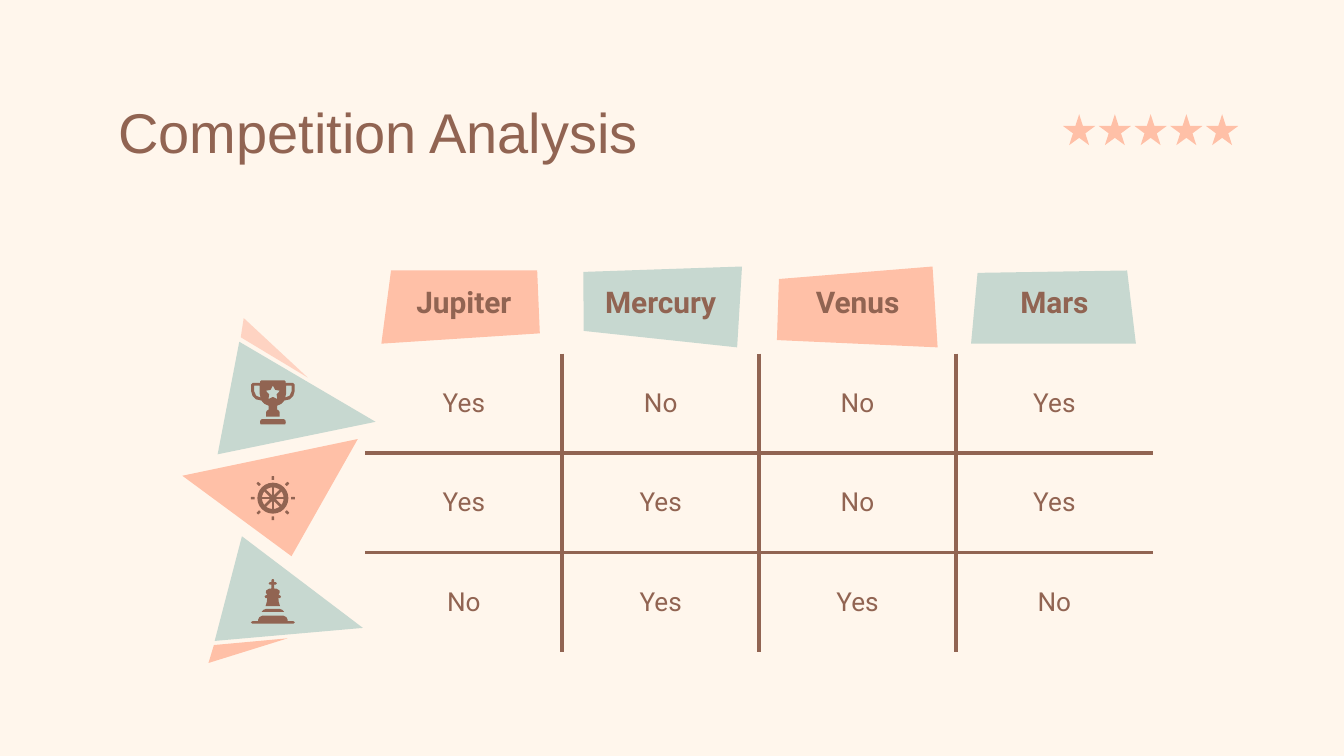
from math import cos, pi, sin

from lxml.etree import SubElement
from pptx import Presentation
from pptx.dml.color import RGBColor
from pptx.enum.shapes import MSO_CONNECTOR, MSO_SHAPE
from pptx.enum.text import MSO_ANCHOR, PP_ALIGN
from pptx.oxml.ns import qn
from pptx.util import Pt

CREAM, BROWN, PEACH, PALE_PEACH, SAGE = "FFF6EC", "916452", "FFC0A7", "FED3C2", "C7D8D0"
PLAIN_TABLE_STYLE = "{2D5ABB26-0587-4C30-8999-92F81FD0307C}"
ICON_CENTER = 146.2

ROWS = [
    ["Jupiter", "Mercury", "Venus", "Mars"],
    ["Yes", "No", "No", "Yes"],
    ["Yes", "Yes", "No", "Yes"],
    ["No", "Yes", "Yes", "No"],
]
TRIANGLES = [
    (SAGE, [(116.6, 243.4), (128.2, 183.1), (201.2, 226)]),
    (PALE_PEACH, [(129, 180.7), (130.6, 170.4), (164.9, 202.3)]),
    (PEACH, [(97.7, 254.9), (191.7, 235.2), (156.2, 298)]),
    (SAGE, [(129.6, 287.3), (115, 343.4), (194.4, 336.4)]),
    (PEACH, [(114.6, 345.6), (111.7, 355.2), (154.1, 342)]),
]
BANNERS = [
    (PEACH, [(209.5, 144.9), (204.3, 184.1), (289.2, 178.6), (287.8, 144.9)]),
    (SAGE, [(312.5, 145.7), (312.7, 177.3), (394.9, 186.1), (397.5, 142.8)]),
    (PEACH, [(417.3, 149.5), (416.2, 182.2), (502.3, 186.1), (499.6, 142.8)]),
    (SAGE, [(523.7, 146.2), (520.2, 184.1), (608.5, 184.1), (603.8, 144.9)]),
]

# Right halves of the symmetric icon outlines: offset from the icon center, y
CUP = [(6.3, 203.8), (6.9, 204.5), (6.9, 205.2), (10.8, 205.2), (11.7, 206),
       (11.7, 209.5), (10.9, 212.2), (9, 214), (6.2, 214.6), (4.5, 216.4),
       (2.2, 217.4), (2.2, 219.4), (3.4, 220.2), (3.6, 221), (3.6, 223.2)]
CUP_HANDLE = [(7.1, 206.6), (10.1, 206.6), (10.1, 209.5), (9, 212), (6.6, 213), (7.1, 211)]
CUP_BASE = [(5.8, 224.5), (6.7, 225.2), (6.9, 226.3), (6.6, 227.4)]
KING_BODY = [(0.4, 310.3), (0.7, 311), (0.7, 311.9), (1.6, 311.9), (2.2, 312.6),
             (1.6, 313.3), (0.7, 313.3), (0.7, 315.3), (2, 315.4), (3.6, 316.4),
             (3.7, 317.6), (3, 318.7), (3.9, 319), (4.4, 319.7), (3.9, 320.4),
             (3, 320.4), (3.2, 322.5), (3.9, 324.7)]
KING_BAND = [(3.6, 326.2), (5, 326.7), (6, 327.8)]
KING_BASE = [(5.6, 329.8), (7.2, 330.6), (7.9, 332), (7.9, 332.8), (11, 332.8),
             (11.8, 333.4), (11, 334.1)]


def color(value):
    return RGBColor.from_string(value)


def paint(shape, fill):
    shape.shadow.inherit = False
    shape.fill.solid()
    shape.fill.fore_color.rgb = color(fill)
    shape.line.fill.background()


def add_outline(shapes, fill, *contours):
    """Filled polygon; contours after the first cut holes."""
    builder = None
    for contour in contours:
        start, *rest = [(Pt(x), Pt(y)) for x, y in contour]
        if builder is None:
            builder = shapes.build_freeform(*start)
        else:
            builder.move_to(*start)
        builder.add_line_segments(rest, close=True)
    paint(builder.convert_to_shape(), fill)


def add_preset(shapes, preset, left, top, width, height, fill):
    shape = shapes.add_shape(preset, Pt(left), Pt(top), Pt(width), Pt(height))
    paint(shape, fill)
    return shape


def add_line(shapes, start, end, width):
    line = shapes.add_connector(MSO_CONNECTOR.STRAIGHT, *[Pt(v) for v in (*start, *end)])
    line.line.color.rgb = color(BROWN)
    line.line.width = Pt(width)
    SubElement(line._element.spPr, qn("a:effectLst"))


def polar(center, radius, angle):
    return center[0] + radius * cos(angle), center[1] + radius * sin(angle)


def place(half, side=1):
    return [(ICON_CENTER + side * x, y) for x, y in half]


def mirrored(half):
    return place(half) + place(half, -1)[::-1]


def add_rating(slide):
    stars = slide.shapes.add_group_shape().shapes
    for index in range(5):
        add_preset(stars, MSO_SHAPE.STAR_5_POINT, 569.5 + 19.15 * index, 61.2, 17.3, 16.6, PEACH)


def add_title(slide, text):
    title = slide.shapes.title
    title.left, title.top, title.width, title.height = Pt(56.2), Pt(42.5), Pt(607.7), Pt(45.4)
    frame = title.text_frame
    frame.text = text
    frame.vertical_anchor = MSO_ANCHOR.TOP
    frame.margin_top = Pt(10)
    paragraph = frame.paragraphs[0]
    paragraph.alignment = PP_ALIGN.LEFT
    format_font(paragraph.font, "Arial", 30)


def format_font(font, name, size, bold=False):
    font.name, font.size, font.bold = name, Pt(size), bold
    font.color.rgb = color(BROWN)


def add_borders(cell, sides):
    for side in sides:
        border = SubElement(cell._tc.get_or_add_tcPr(), qn(f"a:ln{side}"), w=str(Pt(2.25)))
        fill = SubElement(border, qn("a:solidFill"))
        SubElement(fill, qn("a:srgbClr"), val=BROWN)


def add_comparison(slide):
    last = len(ROWS) - 1
    frame = slide.shapes.add_table(4, 4, Pt(195.8), Pt(136.1), Pt(421.8), Pt(213.2))
    table = frame.table
    table.first_row = table.horz_banding = False
    table._tbl.tblPr.find(qn("a:tableStyleId")).text = PLAIN_TABLE_STYLE
    for column in table.columns:
        column.width = Pt(105.45)
    for row_index, values in enumerate(ROWS):
        table.rows[row_index].height = Pt(53.3)
        for column_index, value in enumerate(values):
            cell = table.cell(row_index, column_index)
            # Inner grid lines only, below the heading row
            if row_index:
                rules = [("L", column_index > 0), ("R", column_index < last),
                         ("T", row_index > 1), ("B", row_index < last)]
                add_borders(cell, [side for side, shown in rules if shown])
            cell.fill.background()
            cell.text = value
            cell.vertical_anchor = MSO_ANCHOR.MIDDLE
            cell.margin_left = cell.margin_right = Pt(7.2)
            cell.margin_top = cell.margin_bottom = Pt(7.2)
            paragraph = cell.text_frame.paragraphs[0]
            paragraph.alignment = PP_ALIGN.CENTER
            heading = row_index == 0
            format_font(paragraph.runs[0].font, "Roboto", 16 if heading else 14, heading)


def add_trophy(slide):
    shapes = slide.shapes.add_group_shape().shapes
    star = [polar((ICON_CENTER, 210.6), 2.1 if i % 2 else 4, i * pi / 5 - pi / 2)
            for i in range(10)]
    add_outline(shapes, BROWN, mirrored(CUP), place(CUP_HANDLE), place(CUP_HANDLE, -1), star)
    add_outline(shapes, BROWN, mirrored(CUP_BASE))


def add_wheel(slide):
    shapes = slide.shapes.add_group_shape().shapes
    center = (ICON_CENTER, 266.9)
    rim = add_preset(shapes, MSO_SHAPE.DONUT, center[0] - 8.3, center[1] - 8.3, 16.6, 16.6, BROWN)
    rim.adjustments[0] = 0.15
    add_preset(shapes, MSO_SHAPE.OVAL, center[0] - 2, center[1] - 2, 4, 4, BROWN)
    for index in range(8):
        angle = index * pi / 4
        if index < 4:
            add_line(shapes, polar(center, 7, angle), polar(center, -7, angle), 1.4)
        x, y = polar(center, 10.8, angle)
        grip = add_preset(shapes, MSO_SHAPE.ROUNDED_RECTANGLE, x - 1, y - 0.7, 2, 1.4, BROWN)
        grip.rotation = index * 45


def add_king(slide):
    shapes = slide.shapes.add_group_shape().shapes
    for half in (KING_BODY, KING_BAND, KING_BASE):
        add_outline(shapes, BROWN, mirrored(half))


def main():
    presentation = Presentation()
    presentation.slide_width, presentation.slide_height = Pt(720), Pt(405)
    slide = presentation.slides.add_slide(presentation.slide_layouts[5])
    slide.background.fill.solid()
    slide.background.fill.fore_color.rgb = color(CREAM)
    add_title(slide, "Competition Analysis")
    add_rating(slide)
    # Coloured backdrops, then the table and the row icons
    for fill, corners in TRIANGLES + BANNERS:
        add_outline(slide.shapes, fill, corners)
    add_comparison(slide)
    add_trophy(slide)
    add_wheel(slide)
    add_king(slide)
    presentation.save("out.pptx")


if __name__ == "__main__":
    main()
